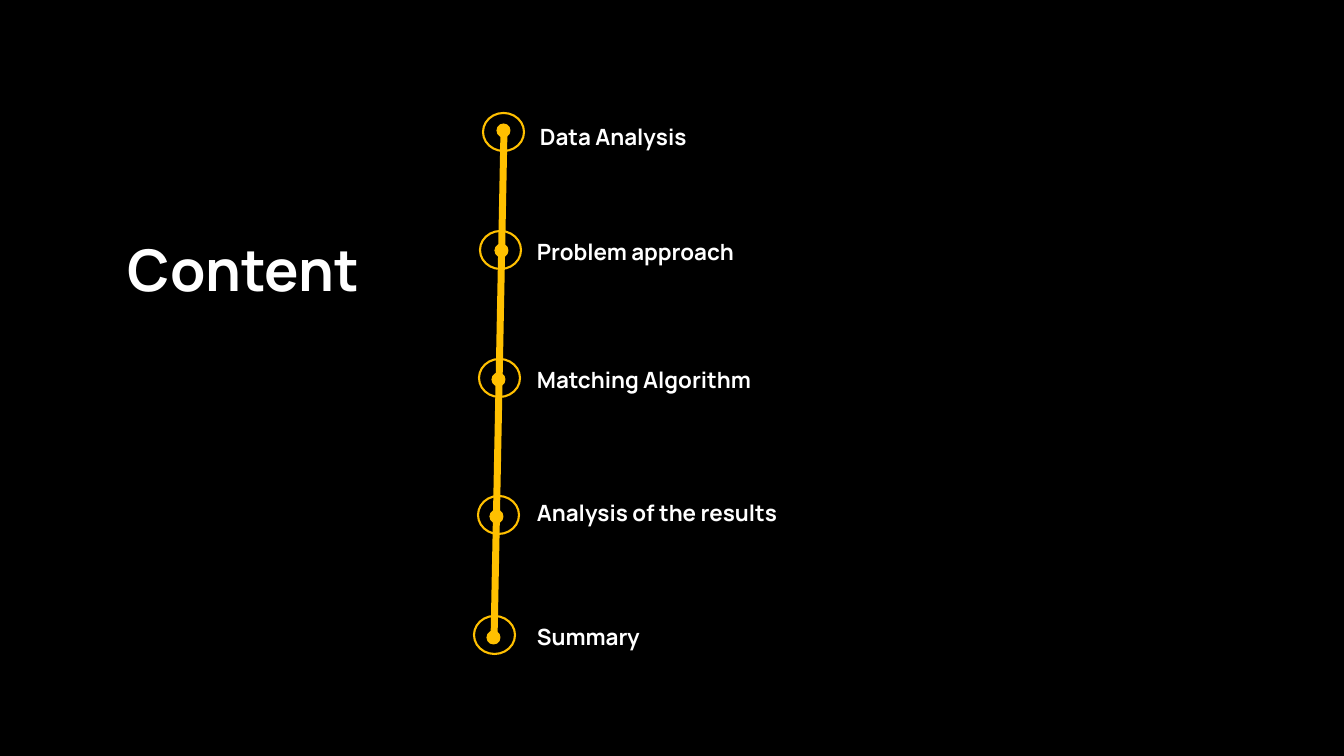
from pptx import Presentation
from pptx.dml.color import RGBColor
from pptx.enum.shapes import MSO_CONNECTOR, MSO_SHAPE
from pptx.enum.text import MSO_ANCHOR, MSO_AUTO_SIZE, PP_ALIGN
from pptx.util import Emu, Pt
from lxml import etree

OVAL = MSO_SHAPE.OVAL
STRAIGHT = MSO_CONNECTOR.STRAIGHT
MIDDLE = MSO_ANCHOR.MIDDLE
GROW = MSO_AUTO_SIZE.SHAPE_TO_FIT_TEXT
LEFT = PP_ALIGN.LEFT

COLORS = {"background": "000000", "text": "FFFFFF", "accent": "FFC000"}
RGB = {name: RGBColor.from_string(value) for name, value in COLORS.items()}
FONT = "Manrope"
PX = 12192000 / 1344
RING_WIDTH, RING_HEIGHT, DOT_SIZE = 41, 38, 13
LABEL_HEIGHT = 26

# Topic, ring corner, dot corner, label corner, label width
STEPS = [
    ("Data Analysis", (474 + 9, 113), (497, 124), (538, 126), 280),
    ("Problem approach", (480, 231), (495, 244), (535, 241), 336),
    ("Matching Algorithm", (479, 359), (492, 373), (535, 369), 336),
    ("Analysis of the results", (478, 496), (490, 510), (535, 502), 336),
    ("Summary", (474, 616), (487, 631), (535, 626), 322),
]


def px(*lengths):
    return [Emu(round(length * PX)) for length in lengths]


def write(box, text, size):
    """Fill a text box or placeholder with one bold, left-aligned line."""
    frame = box.text_frame
    frame.text = text
    frame.word_wrap = True
    frame.auto_size = GROW
    frame.vertical_anchor = MIDDLE
    inset, = px(2)
    frame.margin_left = frame.margin_right = inset
    frame.margin_top = frame.margin_bottom = inset
    paragraph = frame.paragraphs[0]
    paragraph.alignment = LEFT
    paragraph.line_spacing = 0.8
    paragraph.space_before = Pt(0)
    font = paragraph.runs[0].font
    font.name, font.size, font.bold = FONT, Pt(size), True
    font.color.rgb = RGB["text"]


prs = Presentation()
prs.slide_width, prs.slide_height = px(1344, 756)
slide = prs.slides.add_slide(prs.slide_layouts[5])
slide.background.fill.solid()
slide.background.fill.fore_color.rgb = RGB["background"]

title = slide.shapes.title
title.left, title.top, title.width, title.height = px(126, 245, 299, 59)
write(title, "Content", 41)

for topic, ring_corner, dot_corner, label_corner, label_width in STEPS:
    ring = slide.shapes.add_shape(OVAL, *px(*ring_corner, RING_WIDTH, RING_HEIGHT))
    ring.shadow.inherit = False
    ring.fill.background()
    ring.line.color.rgb = RGB["accent"]
    ring.line.width = Pt(1.5)

timeline = slide.shapes.add_connector(STRAIGHT, *px(494, 641, 504, 130))
timeline.line.color.rgb = RGB["accent"]
timeline.line.width = Pt(5)
etree.SubElement(
    timeline.element.spPr,
    "{http://schemas.openxmlformats.org/drawingml/2006/main}effectLst",
)

for topic, ring_corner, dot_corner, label_corner, label_width in STEPS:
    dot = slide.shapes.add_shape(OVAL, *px(*dot_corner, DOT_SIZE, DOT_SIZE))
    dot.shadow.inherit = False
    dot.fill.solid()
    dot.fill.fore_color.rgb = RGB["accent"]
    dot.line.color.rgb = RGB["accent"]
    dot.line.width = Pt(0.75)

    label = slide.shapes.add_textbox(*px(*label_corner, label_width, LABEL_HEIGHT))
    write(label, topic, 16)

prs.save("out.pptx")
